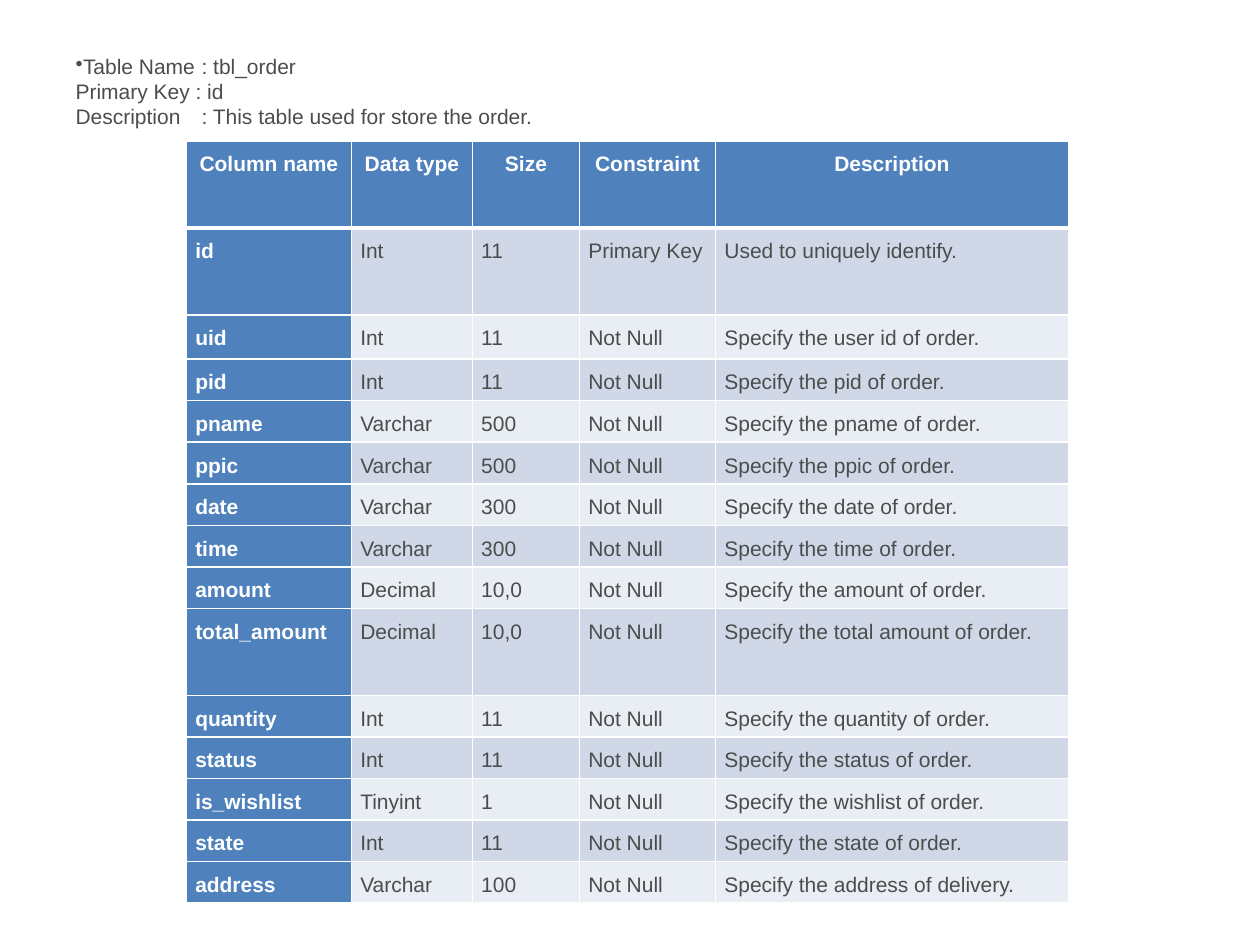
from lxml.etree import SubElement
from pptx import Presentation
from pptx.dml.color import RGBColor
from pptx.enum.text import MSO_ANCHOR, PP_ALIGN
from pptx.oxml.ns import qn
from pptx.util import Inches, Pt

BLUE = RGBColor(0x4F, 0x81, 0xBD)
DARK = RGBColor(0xD0, 0xD8, 0xE8)
LIGHT = RGBColor(0xE9, 0xED, 0xF4)
WHITE = RGBColor(0xFF, 0xFF, 0xFF)
GRAY = RGBColor(0x4C, 0x4C, 0x4C)

TITLE = [
    "Table Name\t: tbl_order",
    "Primary Key : id",
    "Description\t: This table used for store the order.",
]
HEAD = ("Column name", "Data type", "Size", "Constraint", "Description")
FIELDS = [
    ("id", "Int", "11", "Primary Key", "Used to uniquely identify."),
    ("uid", "Int", "11", "Not Null", "Specify the user id of order."),
    ("pid", "Int", "11", "Not Null", "Specify the pid of order."),
    ("pname", "Varchar", "500", "Not Null", "Specify the pname of order."),
    ("ppic", "Varchar", "500", "Not Null", "Specify the ppic of order."),
    ("date", "Varchar", "300", "Not Null", "Specify the date of order."),
    ("time", "Varchar", "300", "Not Null", "Specify the time of order."),
    ("amount", "Decimal", "10,0", "Not Null", "Specify the amount of order."),
    ("total_amount", "Decimal", "10,0", "Not Null",
     "Specify the total amount of order."),
    ("quantity", "Int", "11", "Not Null", "Specify the quantity of order."),
    ("status", "Int", "11", "Not Null", "Specify the status of order."),
    ("is_wishlist", "Tinyint", "1", "Not Null",
     "Specify the wishlist of order."),
    ("state", "Int", "11", "Not Null", "Specify the state of order."),
    ("address", "Varchar", "100", "Not Null",
     "Specify the address of delivery."),
]
WIDTHS = (1.31, 0.96, 0.85, 1.08, 2.8)
HEIGHTS = {0: 0.69, 1: 0.69, 2: 0.35, 9: 0.69}
LOW = 0.33


class Page:
    def __init__(self, slide, face="Arial", size=12):
        self.slide = slide
        self.face = face
        self.size = size

    def style(self, para, color, bold=False):
        for run in para.runs:
            font = run.font
            font.name = self.face
            font.size = Pt(self.size)
            font.bold = bold
            font.color.rgb = color

    def title(self, lines, left, top, width, height):
        box = self.slide.shapes.title
        box.left, box.top = Inches(left), Inches(top)
        box.width, box.height = Inches(width), Inches(height)
        frame = box.text_frame
        frame.text = "\n".join(lines)
        frame.word_wrap = True
        frame.vertical_anchor = MSO_ANCHOR.MIDDLE
        for i, para in enumerate(frame.paragraphs):
            para.alignment = PP_ALIGN.LEFT
            props = para._p.get_or_add_pPr()
            props.set("marL", "0")
            props.set("indent", "0")
            if i == 0:
                SubElement(props, qn("a:buChar"), char="•")
            else:
                SubElement(props, qn("a:buNone"))
            tabs = SubElement(props, qn("a:tabLst"))
            SubElement(tabs, qn("a:tab"), pos=str(Inches(1)), algn="l")
            self.style(para, GRAY)
        # The title lies in front of the table
        self.slide.shapes._spTree.append(box._element)

    def border(self, cell, top, bottom):
        props = cell._tc.get_or_add_tcPr()
        for side, width in zip("LRTB", (1, 1, top, bottom)):
            line = SubElement(props, qn(f"a:ln{side}"), w=str(Pt(width)))
            fill = SubElement(line, qn("a:solidFill"))
            SubElement(fill, qn("a:srgbClr"), val=str(WHITE))

    def cell(self, cell, text, row, col):
        head = row == 0
        strong = head or col == 0
        self.border(cell, 3 if row == 1 else 1, 3 if head else 1)
        cell.fill.solid()
        band = DARK if row % 2 else LIGHT
        cell.fill.fore_color.rgb = BLUE if strong else band
        cell.margin_left = cell.margin_right = Inches(0.07)
        cell.margin_top = cell.margin_bottom = 0
        cell.text_frame.text = text
        para = cell.text_frame.paragraphs[0]
        para.alignment = PP_ALIGN.CENTER if head else PP_ALIGN.LEFT
        para.line_spacing = 1.5
        para.space_after = Pt(8)
        self.style(para, WHITE if strong else GRAY, strong)

    def table(self, rows, left, top):
        highs = [HEIGHTS.get(i, LOW) for i in range(len(rows))]
        grid = self.slide.shapes.add_table(
            len(rows), len(WIDTHS), Inches(left), Inches(top),
            Inches(sum(WIDTHS)), Inches(sum(highs))).table
        grid.first_col = True
        for col, width in zip(grid.columns, WIDTHS):
            col.width = Inches(width)
        for r, texts in enumerate(rows):
            grid.rows[r].height = Inches(highs[r])
            for c, text in enumerate(texts):
                self.cell(grid.cell(r, c), text, r, c)


def main():
    deck = Presentation()
    deck.slide_width, deck.slide_height = Inches(10), Inches(7.5)
    page = Page(deck.slides.add_slide(deck.slide_layouts[5]))
    page.table([HEAD] + FIELDS, 1.48, 1.12)
    page.title(TITLE, 0.5, 0.1, 9, 1.25)
    deck.save("out.pptx")


if __name__ == "__main__":
    main()
